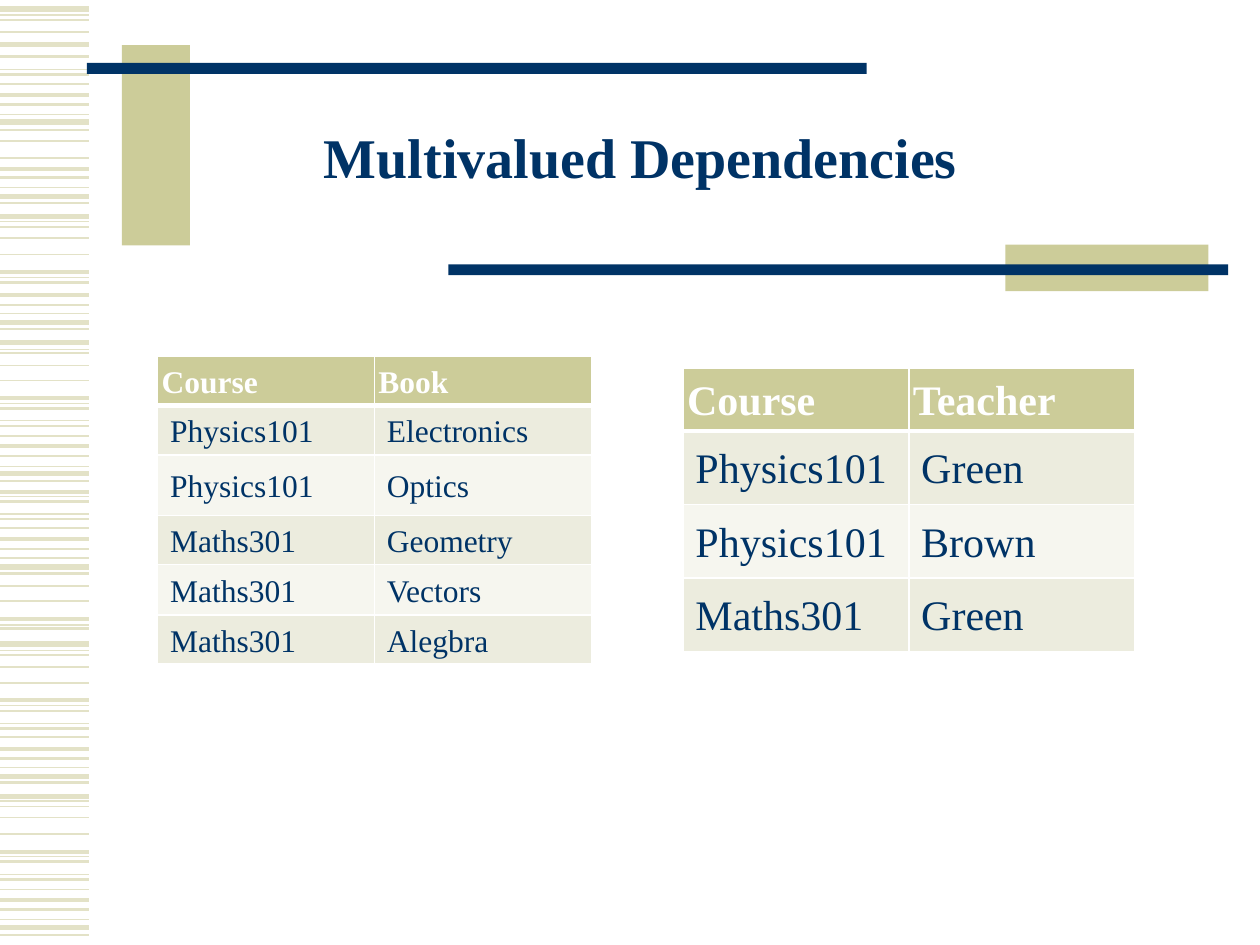
"""Build a slide with two tables on multivalued dependencies."""
from dataclasses import dataclass

from lxml.etree import SubElement
from pptx import Presentation
from pptx.dml.color import RGBColor
from pptx.enum.shapes import MSO_CONNECTOR, MSO_SHAPE
from pptx.enum.text import MSO_ANCHOR, MSO_AUTO_SIZE, PP_ALIGN
from pptx.oxml.ns import qn
from pptx.util import Cm, Pt


@dataclass(frozen=True)
class Theme:
    font: str = "Times New Roman"
    navy: str = "003366"
    khaki: str = "CCCC99"
    stripe: str = "E3E2C7"
    white: str = "FFFFFF"
    bands: tuple = ("ECECDE", "F6F6EF")
    title_size: int = 32
    book_size: int = 18
    teacher_size: int = 24


THEME = Theme()

STRIPES = {
    0.75: [0.3, 1.4, 2.31, 3.78, 4.47, 5.59, 6.32, 7.04, 8.13, 8.48, 9.4, 10.01,
           10.36, 11.25, 12.6, 13.11, 14.22, 14.58, 15.47, 16.15, 17.27, 17.63, 18.54],
    1: [0.41, 0.64, 1.7, 2.84, 3.18, 4.57, 4.8, 5.13, 7.11, 7.37, 7.67, 8.79,
        10.64, 11.81, 12.12, 13.21, 13.44, 13.77, 14.86, 16.26, 16.48, 16.81, 17.93],
    1.5: [1.14, 1.5, 2.11, 2.62, 3.58, 4.09, 5.69, 6.15, 6.63, 8.23, 8.59, 9.19, 9.7,
          10.11, 10.46, 11.07, 11.56, 12.67, 14.33, 14.68, 15.29, 15.77, 17.37, 17.73,
          18.34, 18.85],
    2.25: [1.91, 3.4, 5.49, 5.94, 8.03, 8.99, 9.91, 10.87, 12.47, 14.12, 15.09,
           17.17, 18.14],
    3: [0.18, 0.89, 2.46, 3.96, 4.37, 6.5, 6.91, 9.55, 11.43, 12.98, 15.65,
        16.05, 18.69],
}

BARS = [
    (2.46, 0.91, 1.37, 4.04, THEME.khaki),
    (1.75, 1.27, 15.72, 0.22, THEME.navy),
    (20.27, 4.93, 4.09, 0.94, THEME.khaki),
    (9.04, 5.33, 15.72, 0.22, THEME.navy),
]

BOOKS = [
    ("Course", "Book"),
    ("Physics101", "Electronics"),
    ("Physics101", "Optics"),
    ("Maths301", "Geometry"),
    ("Maths301", "Vectors"),
    ("Maths301", "Alegbra"),
]

TEACHERS = [
    ("Course", "Teacher"),
    ("Physics101", "Green"),
    ("Physics101", "Brown"),
    ("Maths301", "Green"),
]


def set_values(target, values):
    """Set each named attribute of the target."""
    for name, value in values.items():
        setattr(target, name, value)


def write_text(para, text, size, color, bold):
    """Put one formatted span in a paragraph."""
    span = para.add_run()
    span.text = text
    set_values(span.font, {"name": THEME.font, "size": Pt(size), "bold": bold})
    span.font.color.rgb = RGBColor.from_string(color)


def add_stripe(page, top, weight):
    """Draw one horizontal stripe at the left edge."""
    stripe = page.shapes.add_connector(
        MSO_CONNECTOR.STRAIGHT, Cm(0), Cm(top), Cm(1.8), Cm(top))
    stripe.line.width = Pt(weight)
    stripe.line.color.rgb = RGBColor.from_string(THEME.stripe)
    SubElement(stripe._element.spPr, qn("a:effectLst"))


def add_bar(page, left, top, width, height, color):
    """Draw one filled rectangle without an outline."""
    bar = page.shapes.add_shape(
        MSO_SHAPE.RECTANGLE, Cm(left), Cm(top), Cm(width), Cm(height))
    bar.shadow.inherit = False
    bar.fill.solid()
    bar.fill.fore_color.rgb = RGBColor.from_string(color)
    bar.line.fill.background()


def add_title(page, text):
    """Add the centred title."""
    box = page.shapes.add_textbox(Cm(3.61), Cm(2.34), Cm(18.62), Cm(1.63))
    set_values(box.text_frame, {
        "word_wrap": True, "auto_size": MSO_AUTO_SIZE.SHAPE_TO_FIT_TEXT})
    para = box.text_frame.paragraphs[0]
    para.alignment = PP_ALIGN.CENTER
    write_text(para, text, THEME.title_size, THEME.navy, True)


def add_borders(cell, weights):
    """Give a cell white borders with the weight of each side."""
    properties = cell._tc.get_or_add_tcPr()
    for side, weight in weights.items():
        border = SubElement(properties, qn(f"a:ln{side}"), w=str(Pt(weight)))
        fill = SubElement(border, qn("a:solidFill"))
        SubElement(fill, qn("a:srgbClr"), val=THEME.white)


def format_cell(cell, text, row, size):
    """Write and style a heading cell or a banded body cell."""
    heading = row == 0
    add_borders(cell, {
        "L": 1, "R": 1, "T": 3 if row == 1 else 1, "B": 3 if heading else 1})
    set_values(cell, {
        "margin_left": Cm(0.08 if heading else 0.25), "margin_top": Cm(0.15),
        "margin_right": Cm(0.08), "margin_bottom": Cm(0.08),
        "vertical_anchor": MSO_ANCHOR.MIDDLE})
    cell.fill.solid()
    cell.fill.fore_color.rgb = RGBColor.from_string(
        THEME.khaki if heading else THEME.bands[(row - 1) % 2])
    write_text(cell.text_frame.paragraphs[0], text, size,
               THEME.white if heading else THEME.navy, heading)


def add_grid(page, rows, left, top, column_width, heights, size):
    """Add a table with equal columns and the given row heights."""
    columns = len(rows[0])
    table = page.shapes.add_table(
        len(rows), columns, Cm(left), Cm(top),
        Cm(column_width * columns), Cm(sum(heights))).table
    for column in table.columns:
        column.width = Cm(column_width)
    for row, (texts, height) in enumerate(zip(rows, heights)):
        table.rows[row].height = Cm(height)
        for column, text in enumerate(texts):
            format_cell(table.cell(row, column), text, row, size)


def main():
    """Build and save the deck."""
    deck = Presentation()
    set_values(deck, {"slide_width": Cm(25.4), "slide_height": Cm(19.05)})
    page = deck.slides.add_slide(deck.slide_layouts[6])
    for weight, tops in STRIPES.items():
        for top in tops:
            add_stripe(page, top, weight)
    for bar in BARS:
        add_bar(page, *bar)
    add_grid(page, BOOKS, 3.18, 7.19, 4.37,
             [0.99, 0.99, 1.22, 0.99, 1.02, 0.99], THEME.book_size)
    add_title(page, "Multivalued Dependencies")
    add_grid(page, TEACHERS, 13.77, 7.42, 4.55,
             [1.27, 1.48, 1.48, 1.48], THEME.teacher_size)
    deck.save("out.pptx")


if __name__ == "__main__":
    main()
